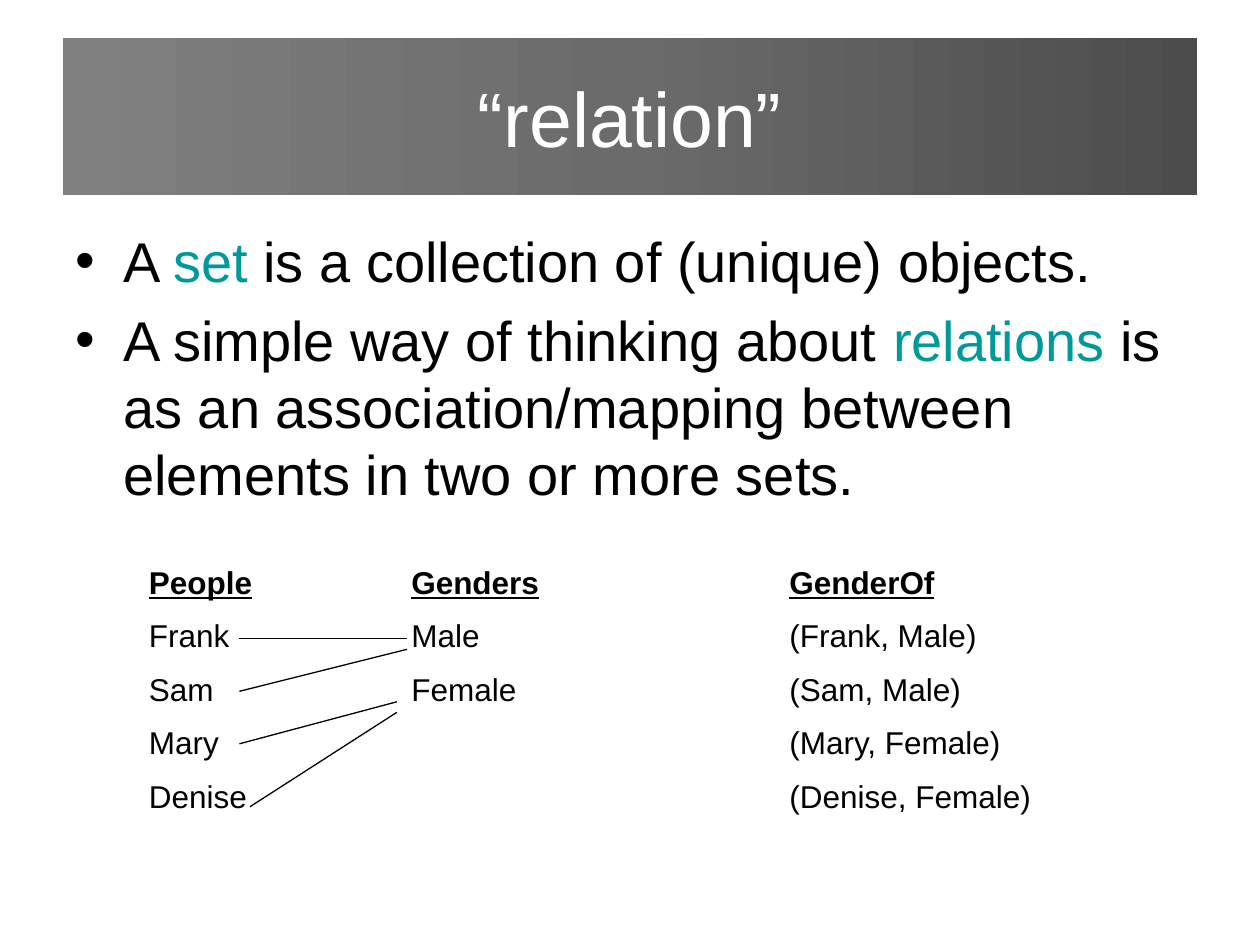
"""Build the slide that explains relations as mappings between sets."""
from copy import deepcopy
from dataclasses import dataclass

from lxml import etree
from pptx import Presentation, util as u
from pptx.dml.color import RGBColor
from pptx.enum import shapes, text
from pptx.oxml import ns

BLACK = RGBColor(0, 0, 0)
WHITE = RGBColor(255, 255, 255)
TEAL = RGBColor(0, 0x99, 0x99)
GREYS = (RGBColor(0x4C, 0x4C, 0x4C), RGBColor(0x6B, 0x6B, 0x6B), RGBColor(0x80, 0x80, 0x80))
WIDTH, HEIGHT = u.Inches(10), u.Inches(7.5)
COLS, ROWS = 120, 90
TOP = 53
PLAIN = {"name": "Arial", "size": u.Pt(18), "bold": False, "underline": False}
HEAD = PLAIN | {"bold": True, "underline": True}
BODY = PLAIN | {"size": u.Pt(32)}
TITLE = PLAIN | {"size": u.Pt(44)}


@dataclass
class List:
    col: float
    wide: float
    high: float
    head: str
    items: tuple[str, ...]


@dataclass
class Link:
    col: float
    row: float
    to_col: float
    to_row: float


PEOPLE = {"Frank": "Male", "Sam": "Male", "Mary": "Female", "Denise": "Female"}
LISTS = (
    List(13, 14, 26.5, "People", tuple(PEOPLE)),
    List(38, 17, 15.6, "Genders", tuple(dict.fromkeys(PEOPLE.values()))),
    List(74, 26, 26.5, "GenderOf", tuple(f"({who}, {sex})" for who, sex in PEOPLE.items())),
)
LINKS = (
    Link(22.8, 60.84, 38.76, 60.84),
    Link(22.8, 65.84, 38.76, 61.84),
    Link(22.8, 70.84, 37.8, 66.84),
    Link(23.8, 76.84, 37.8, 67.84),
)
POINTS = (
    (("A ", BLACK), ("set", TEAL), (" is a collection of (unique) objects.", BLACK)),
    (("A simple way of thinking about ", BLACK), ("relations", TEAL),
     (" is as an association/mapping between elements in two or more sets.", BLACK)),
)


def grid(col: float, row: float) -> tuple[int, int]:
    """Turn a grid column and row into slide lengths."""
    return round(WIDTH * col / COLS), round(HEIGHT * row / ROWS)


def add_run(para, words: str, form: dict, color: RGBColor = BLACK) -> None:
    """Add a run with the given format and colour."""
    run = para.add_run()
    run.text = words
    for key, value in form.items():
        setattr(run.font, key, value)
    run.font.color.rgb = color


def add_para(frame, share: int):
    """Return a new paragraph with space before it as a percentage."""
    para = frame.paragraphs[0] if not frame.paragraphs[0].runs else frame.add_paragraph()
    space = etree.SubElement(para._p.get_or_add_pPr(), ns.qn("a:spcBef"))
    etree.SubElement(space, ns.qn("a:spcPct"), val=str(share * 1000))
    return para


def add_box(slide, col: float, row: float, wide: float, high: float):
    """Return the frame of a wrapping text box placed on the grid."""
    frame = slide.shapes.add_textbox(*grid(col, row), *grid(wide, high)).text_frame
    frame.word_wrap = True
    return frame


def add_title(slide) -> None:
    """Format the title as a grey gradient band."""
    title = slide.shapes.title
    title.left, title.top = grid(6, 3.6)
    title.width, title.height = grid(108, 15)
    title.fill.gradient()
    title.fill.gradient_angle = 180
    first = title.fill.gradient_stops[0]._gs
    first.addnext(deepcopy(first))
    for stop, color, place in zip(title.fill.gradient_stops, GREYS, (0, 0.5, 1)):
        stop.color.rgb = color
        stop.position = place
    frame = title.text_frame
    frame.vertical_anchor = text.MSO_ANCHOR.MIDDLE
    frame.paragraphs[0].alignment = text.PP_ALIGN.CENTER
    add_run(frame.paragraphs[0], "“relation”", TITLE, WHITE)


def add_points(slide) -> None:
    """Add the bulleted points."""
    frame = add_box(slide, 6, 21, 108, 29)
    for point in POINTS:
        para = add_para(frame, 20)
        props = para._p.get_or_add_pPr()
        props.set("marL", str(u.Inches(0.38)))
        props.set("indent", str(-u.Inches(0.38)))
        etree.SubElement(props, ns.qn("a:buFont"), typeface="Arial")
        etree.SubElement(props, ns.qn("a:buChar"), char="•")
        for words, color in point:
            add_run(para, words, BODY, color)


def add_list(slide, part: List) -> None:
    """Add a headed list of set members."""
    frame = add_box(slide, part.col, TOP, part.wide, part.high)
    frame.auto_size = text.MSO_AUTO_SIZE.SHAPE_TO_FIT_TEXT
    add_run(add_para(frame, 50), part.head, HEAD)
    for item in part.items:
        add_run(add_para(frame, 50), item, PLAIN)


def add_link(group, link: Link) -> None:
    """Add a thin line from a person to a gender."""
    line = group.shapes.add_connector(
        shapes.MSO_CONNECTOR.STRAIGHT,
        *grid(link.col, link.row), *grid(link.to_col, link.to_row))
    line.line.color.rgb = BLACK
    line.line.width = u.Pt(0.75)
    etree.SubElement(line._element.spPr, ns.qn("a:effectLst"))


def main() -> None:
    """Build and save the slide."""
    deck = Presentation()
    deck.slide_width, deck.slide_height = WIDTH, HEIGHT
    slide = deck.slides.add_slide(deck.slide_layouts[5])
    add_title(slide)
    add_points(slide)
    for part in LISTS:
        add_list(slide, part)
    group = slide.shapes.add_group_shape()
    for link in LINKS:
        add_link(group, link)
    deck.save("out.pptx")


if __name__ == "__main__":
    main()
